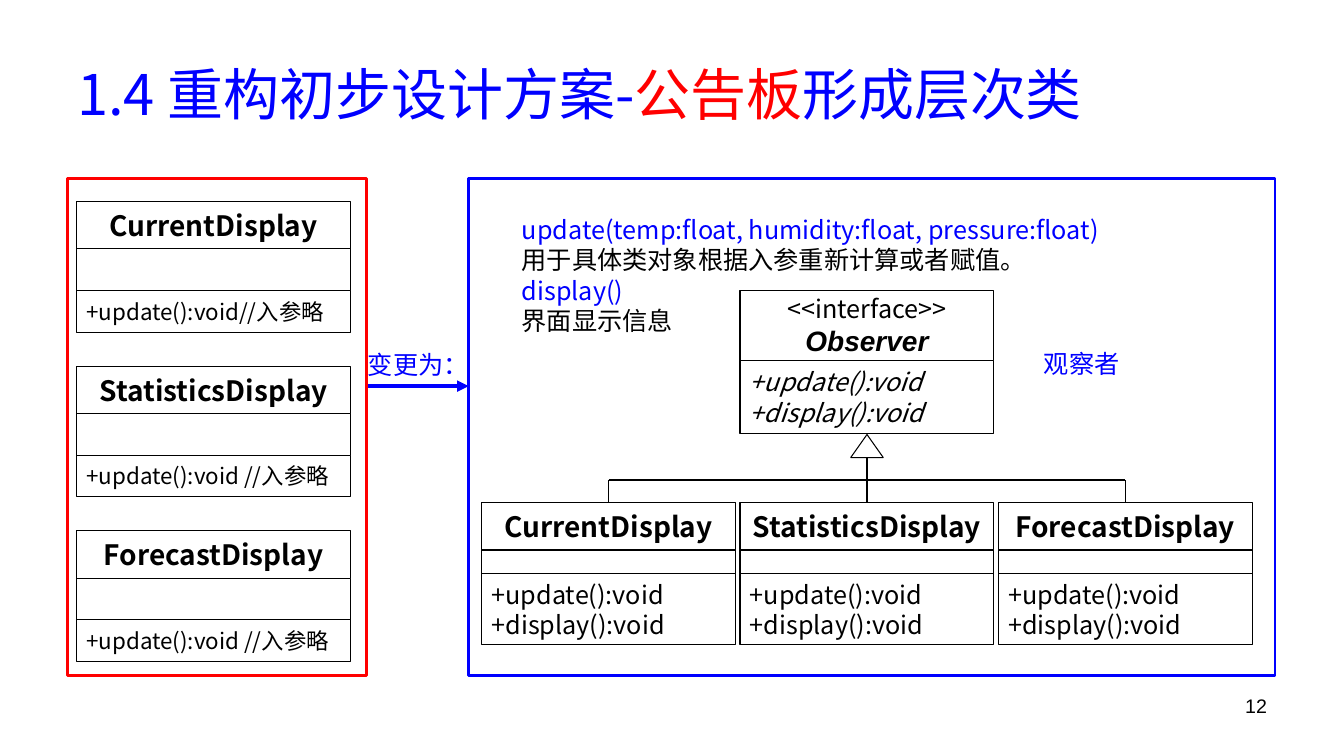
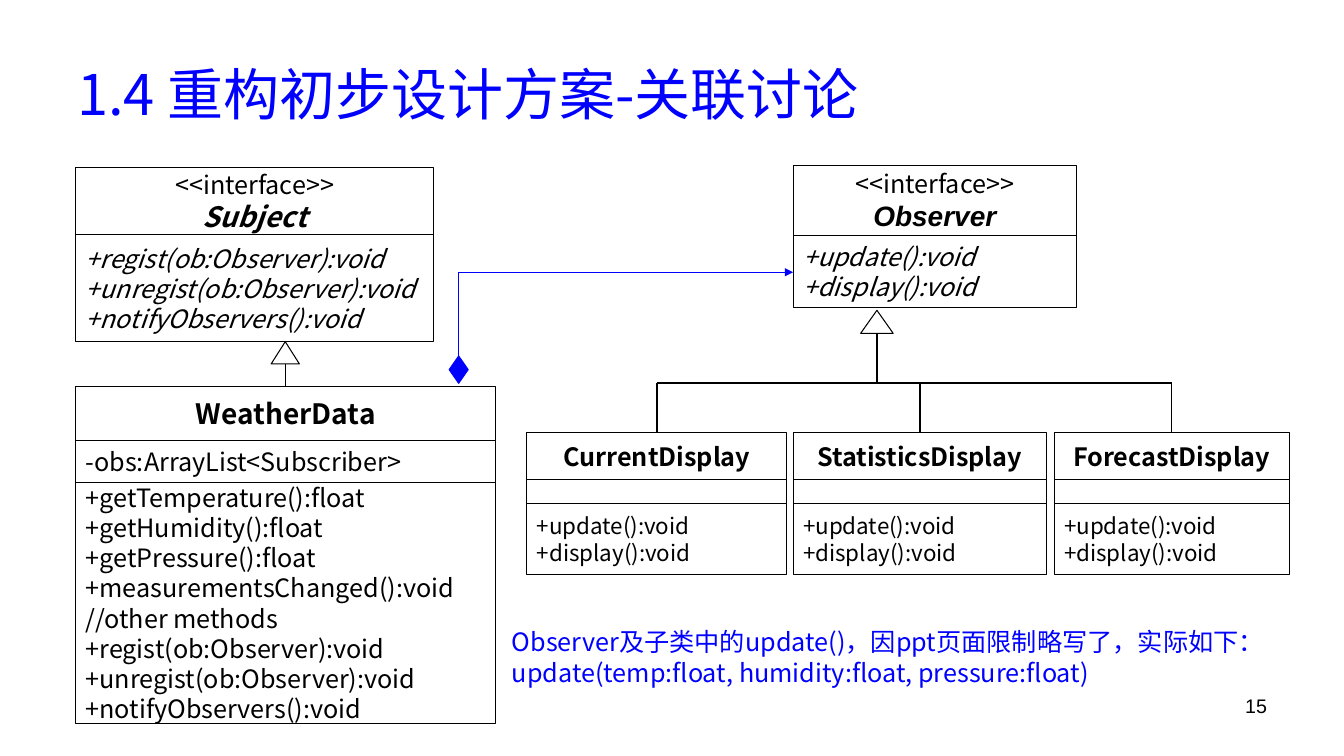
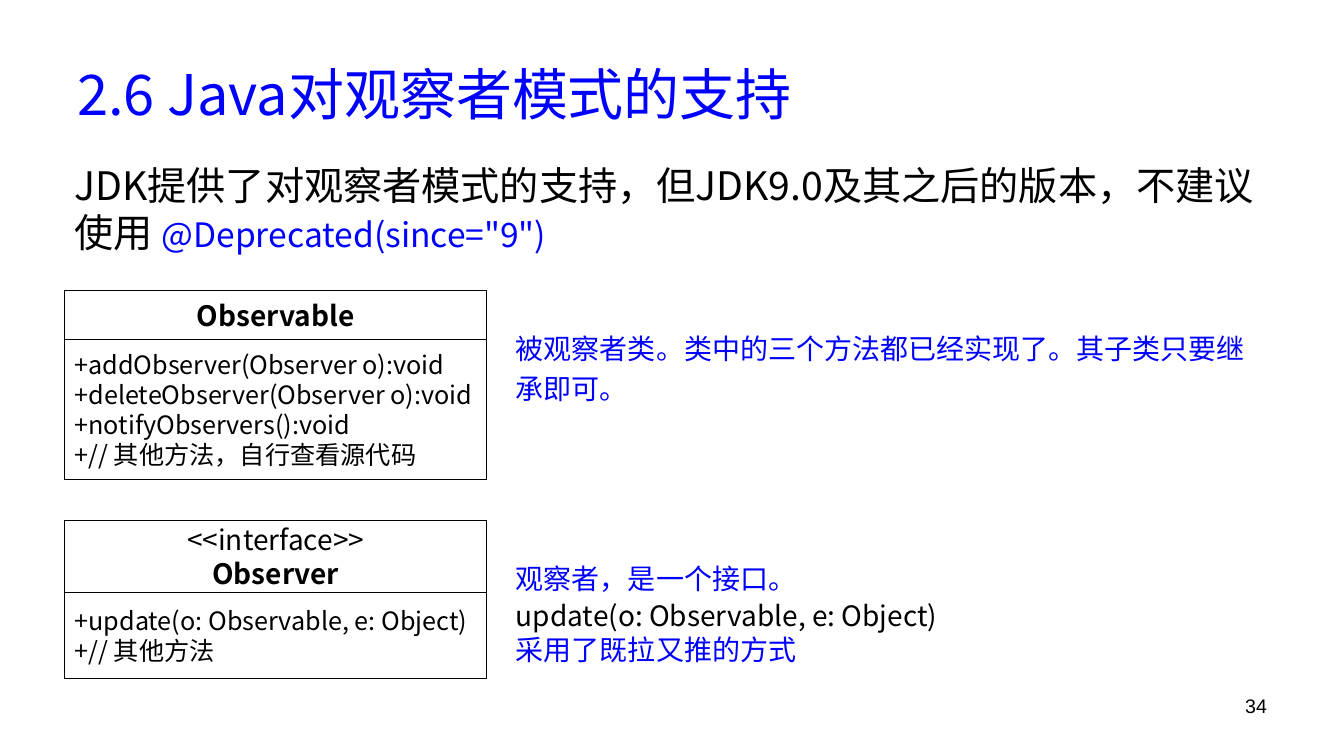
from lxml import etree
from pptx import Presentation
from pptx.dml.color import RGBColor
from pptx.enum.shapes import MSO_CONNECTOR, MSO_SHAPE
from pptx.enum.text import MSO_ANCHOR, PP_ALIGN
from pptx.oxml.ns import qn
from pptx.util import Cm, Pt

LEFT, CENTER, RIGHT = PP_ALIGN.LEFT, PP_ALIGN.CENTER, PP_ALIGN.RIGHT
TOP, MIDDLE = MSO_ANCHOR.TOP, MSO_ANCHOR.MIDDLE
RECTANGLE = MSO_SHAPE.RECTANGLE
TRIANGLE = MSO_SHAPE.ISOSCELES_TRIANGLE
DIAMOND = MSO_SHAPE.FLOWCHART_DECISION
STRAIGHT = MSO_CONNECTOR.STRAIGHT

COLORS = {"blue": "0000FF", "red": "FF0000", "black": "000000", "white": "FFFFFF"}
SANS, ARIAL = "Noto Sans CJK SC", "Arial"
BLUE, RED, BLACK = {"color": "blue"}, {"color": "red"}, {"color": "black"}

# Text: a list of lines; a line is a string or a list of (words, format) spans.
STEREOTYPE = [("<<interface>>", {"size": 18})]
OBSERVER_NAME = [("Observer", {"font": ARIAL, "bold": True, "italic": True})]
SUBJECT_NAME = [("Subject", {"bold": True, "italic": True})]
OBSERVER_METHODS = ["+update():void", "+display():void"]
DISPLAYS = ["CurrentDisplay", "StatisticsDisplay", "ForecastDisplay"]
OLD_METHODS = ["+update():void//入参略", "+update():void //入参略", "+update():void //入参略"]
SUBJECT_METHODS = [
    "+regist(ob:Observer):void",
    "+unregist(ob:Observer):void",
    "+notifyObservers():void",
]
WEATHER_METHODS = [
    "+getTemperature():float",
    "+getHumidity():float",
    "+getPressure():float",
    "+measurementsChanged():void",
    "//other methods",
] + SUBJECT_METHODS
OBSERVABLE_METHODS = [
    "+addObserver(Observer o):void",
    "+deleteObserver(Observer o):void",
    "+notifyObservers():void",
    "+// 其他方法，自行查看源代码",
]
METHOD_NOTES = [
    [("update(temp:float, humidity:float, pressure:float)", BLUE)],
    "用于具体类对象根据入参重新计算或者赋值。",
    [("display()", BLUE)],
    "界面显示信息",
]
UPDATE_NOTE = ("Observer及子类中的update()，因ppt页面限制略写了，实际如下："
               "update(temp:float, humidity:float, pressure:float)")
JDK_NOTE = [
    ("JDK提供了对观察者模式的支持，但JDK9.0及其之后的版本，不建议使用 ", {}),
    ('@Deprecated(since="9")', {"size": 24, "color": "blue"}),
]
HEADING = {"size": 20, "bold": True, "align": CENTER}
INTERFACE = {"size": 20, "align": CENTER}
BODY = {"size": 18}
ABSTRACT = {"size": 18, "italic": True}


def rgb(color):
    return RGBColor.from_string(COLORS[color])


def write_text(shape, lines, anchor=TOP, align=LEFT, spacing=None, **style):
    """Fill a shape with lines; a span's own format overrides style."""
    frame = shape.text_frame
    frame.word_wrap = True
    frame.vertical_anchor = anchor
    for index, line in enumerate(lines):
        para = frame.paragraphs[0] if index == 0 else frame.add_paragraph()
        para.alignment = align
        if spacing:
            para.line_spacing = spacing
        for words, own in [(line, {})] if isinstance(line, str) else line:
            look = {"size": 18, "color": "black", "font": SANS, **style, **own}
            span = para.add_run()
            span.text = words
            span.font.size = Pt(look["size"])
            span.font.bold = look.get("bold", False)
            span.font.italic = look.get("italic", False)
            span.font.color.rgb = rgb(look["color"])
            span.font.name = look["font"]
            east_asian = etree.SubElement(span.font._element, qn("a:ea"))
            east_asian.set("typeface", look["font"])


def add_text(slide, lines, x, y, width, height, **style):
    box = slide.shapes.add_textbox(Cm(x), Cm(y), Cm(width), Cm(height))
    write_text(box, lines, **style)


def add_box(slide, kind, x, y, width, height, fill="white", line="black", weight=0.75):
    shape = slide.shapes.add_shape(kind, Cm(x), Cm(y), Cm(width), Cm(height))
    shape.shadow.inherit = False
    if fill:
        shape.fill.solid()
        shape.fill.fore_color.rgb = rgb(fill)
    else:
        shape.fill.background()
    shape.line.color.rgb = rgb(line)
    shape.line.width = Pt(weight)
    return shape


def add_line(slide, x1, y1, x2, y2, color="black", weight=1, arrow=False):
    line = slide.shapes.add_connector(STRAIGHT, Cm(x1), Cm(y1), Cm(x2), Cm(y2))
    line.line.color.rgb = rgb(color)
    line.line.width = Pt(weight)
    if arrow:
        etree.SubElement(line.line._get_or_add_ln(), qn("a:tailEnd")).set("type", "triangle")
    etree.SubElement(line._element.spPr, qn("a:effectLst"))


def add_class(slide, x, y, width, *sections):
    """Stack the (height, lines, format) compartments of a UML class."""
    for height, lines, style in sections:
        shape = add_box(slide, RECTANGLE, x, y, width, height)
        write_text(shape, lines, anchor=MIDDLE, **style)
        y += height


def add_observer(slide, x, y, width):
    add_class(slide, x, y, width, (1.77, [STEREOTYPE, OBSERVER_NAME], INTERFACE),
              (1.83, OBSERVER_METHODS, ABSTRACT))


def add_displays(slide, columns, y, name_size, method_size):
    for name, (x, width) in zip(DISPLAYS, columns):
        add_class(slide, x, y, width, (1.19, [name], {**HEADING, "size": name_size}),
                  (0.6, [], BODY), (1.78, OBSERVER_METHODS, {"size": method_size}))


def add_inheritance(slide, x, y, child_top, children, width=0.82, height=0.58):
    """Draw a hollow triangle with its tip at x, y and lines down to the children."""
    add_box(slide, TRIANGLE, x - width / 2, y, width, height)
    if children == [x]:
        add_line(slide, x, y + height, x, child_top)
        return
    bar = (y + height + child_top) / 2
    add_line(slide, x, y + height, x, bar)
    add_line(slide, min(children), bar, max(children), bar)
    for child in children:
        add_line(slide, child, bar, child, child_top)


def centers(columns):
    return [x + width / 2 for x, width in columns]


def add_slide(deck, title, number):
    slide = deck.slides.add_slide(deck.slide_layouts[6])
    add_text(slide, [title], 1.7, 0.76, 30.48, 3.18, anchor=MIDDLE, size=40, color="blue")
    add_text(slide, [number], 24.28, 17.35, 7.9, 1.32, align=RIGHT, size=14, font=ARIAL)
    return slide


def build_hierarchy(deck):
    title = [("1.4 重构初步设计方案-", BLUE), ("公告板", RED), ("形成层次类", BLUE)]
    slide = add_slide(deck, title, "12")
    for row, (name, method) in enumerate(zip(DISPLAYS, OLD_METHODS)):
        add_class(slide, 1.93, 5.08 + 4.15 * row, 6.91, (1.19, [name], HEADING),
                  (1.05, [], BODY), (1.05, [method], {"size": 16}))
    columns = [(12.14 + 6.51 * column, 6.4) for column in range(3)]
    add_displays(slide, columns, 12.67, 20, 18)
    add_observer(slide, columns[1][0], 7.32, 6.4)
    add_inheritance(slide, centers(columns)[1], 10.95, 12.67, centers(columns))
    add_line(slide, 9.22, 9.73, 11.81, 9.73, color="blue", weight=2.75, arrow=True)
    add_text(slide, ["变更为："], 9.02, 8.69, 3.15, 1.02, **BLUE)
    for x, width, color in [(1.7, 7.54, "red"), (11.81, 20.32, "blue")]:
        add_box(slide, RECTANGLE, x, 4.5, width, 12.52, fill=None, line=color, weight=1.75)
    add_text(slide, METHOD_NOTES, 12.9, 5.28, 18.75, 3.33, **BLACK)
    add_text(slide, ["观察者"], 26.06, 8.66, 3.15, 1.02, **BLUE)


def build_association(deck):
    slide = add_slide(deck, [("1.4 重构初步设计方案-关联讨论", BLUE)], "15")
    add_class(slide, 1.91, 4.22, 9.02, (1.7, [STEREOTYPE, SUBJECT_NAME], INTERFACE),
              (2.69, SUBJECT_METHODS, ABSTRACT))
    add_class(slide, 1.91, 9.73, 10.59, (1.38, ["WeatherData"], HEADING),
              (1.05, ["-obs:ArrayList<Subscriber>"], BODY), (6.07, WEATHER_METHODS, BODY))
    add_inheritance(slide, 7.19, 8.61, 9.73, [7.19], width=0.71, height=0.56)
    columns = [(13.28, 6.55), (19.99, 6.38), (26.57, 5.92)]
    add_displays(slide, columns, 10.9, 18, 16)
    add_observer(slide, 19.99, 4.16, 7.14)
    add_inheritance(slide, 22.1, 7.82, 10.9, centers(columns))
    add_line(slide, 11.56, 8.97, 11.56, 6.86, color="blue")
    add_line(slide, 11.56, 6.86, 19.99, 6.86, color="blue", arrow=True)
    add_box(slide, DIAMOND, 11.32, 8.97, 0.48, 0.69, fill="blue", line="blue")
    add_text(slide, [UPDATE_NOTE], 12.65, 15.67, 19.48, 1.8, **BLUE)


def build_java_support(deck):
    slide = add_slide(deck, [("2.6 Java对观察者模式的支持", BLUE)], "34")
    add_text(slide, [JDK_NOTE], 1.63, 3.94, 30.51, 2.64, size=28)
    add_class(slide, 1.63, 7.32, 10.64, (1.23, ["Observable"], HEADING),
              (3.53, OBSERVABLE_METHODS, BODY))
    add_class(slide, 1.63, 13.11, 10.64,
              (1.83, [[("<<interface>>", {})], [("Observer", {"bold": True})]], INTERFACE),
              (2.16, ["+update(o: Observable, e: Object)", "+// 其他方法"], BODY))
    notes = [
        (8.05, 2.31, 1.2, ["被观察者类。类中的三个方法都已经实现了。其子类只要继承即可。"]),
        (14.02, 1.12, None, ["观察者，是一个接口。"]),
        (14.96, 1.96, None,
         [[("update(o: Observable, e: Object)", BLACK)], "采用了既拉又推的方式"]),
    ]
    for y, height, spacing, lines in notes:
        add_text(slide, lines, 12.75, y, 19.38, height, spacing=spacing, size=20, **BLUE)


def main():
    deck = Presentation()
    deck.slide_width, deck.slide_height = Cm(33.87), Cm(19.05)
    build_hierarchy(deck)
    build_association(deck)
    build_java_support(deck)
    deck.save("out.pptx")


if __name__ == "__main__":
    main()
